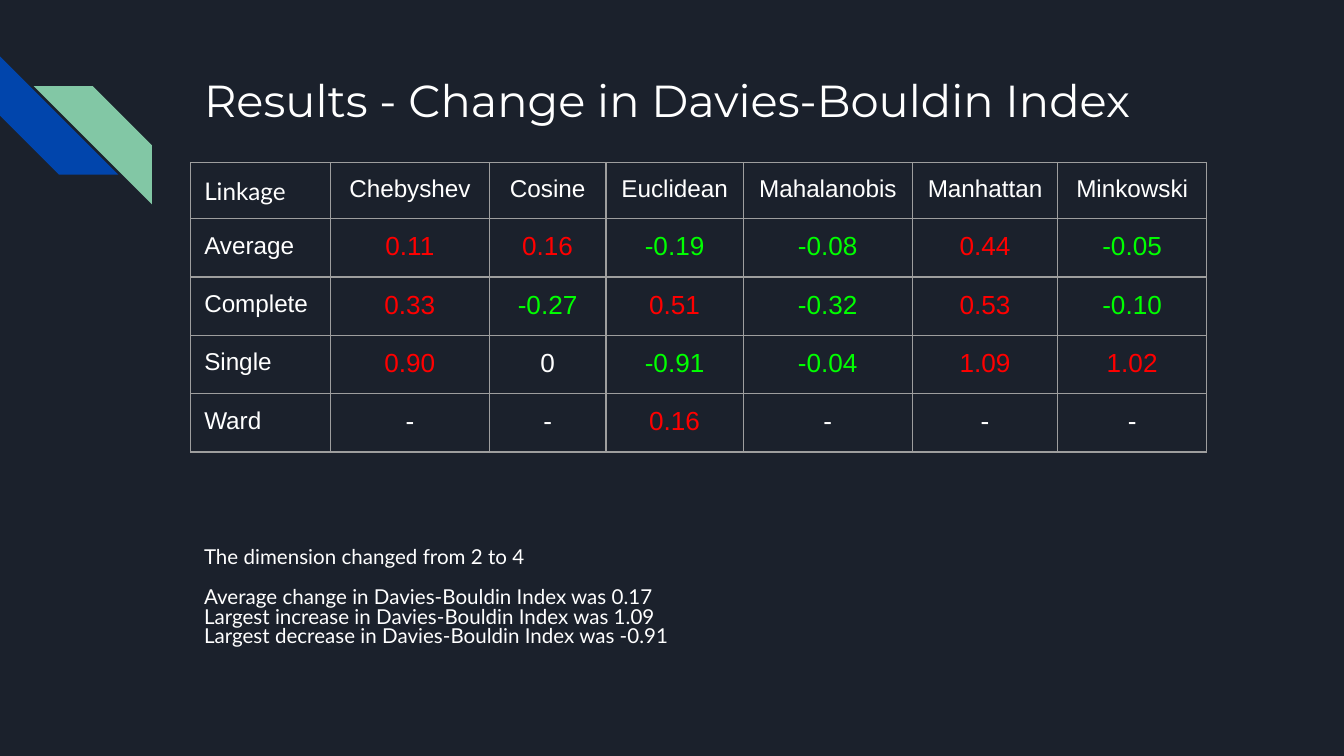
from dataclasses import dataclass

from pptx import Presentation
from pptx.dml.color import RGBColor
from pptx.enum.shapes import MSO_SHAPE as Preset
from pptx.enum.text import MSO_ANCHOR as Anchor, PP_ALIGN as Align
from pptx.oxml import parse_xml
from pptx.oxml.ns import nsdecls, qn
from pptx.util import Inches, Pt

NAVY = RGBColor(0x1B, 0x21, 0x2C)
BLUE = RGBColor(0x01, 0x45, 0xAC)
MINT = RGBColor(0x82, 0xC7, 0xA5)
WHITE = RGBColor(0xFF, 0xFF, 0xFF)
RED = RGBColor(0xFF, 0x00, 0x00)
GREEN = RGBColor(0x00, 0xFF, 0x00)
GREY = RGBColor(0x9E, 0x9E, 0x9E)

LEFT, WIDTH = 1.42, 7.7
STRIPE_SIZE = 0.88
ROW_HEIGHT = 0.34
COLUMN_WIDTHS = [1.04, 1.18, 0.87, 1.02, 1.26, 1.08, 1.11]
RESULTS = [
    ["Linkage", "Chebyshev", "Cosine", "Euclidean", "Mahalanobis", "Manhattan", "Minkowski"],
    ["Average", "0.11", "0.16", "-0.19", "-0.08", "0.44", "-0.05"],
    ["Complete", "0.33", "-0.27", "0.51", "-0.32", "0.53", "-0.10"],
    ["Single", "0.90", "0", "-0.91", "-0.04", "1.09", "1.02"],
    ["Ward", "-", "-", "0.16", "-", "-", "-"],
]


@dataclass
class Stripe:
    left: float
    top: float
    color: RGBColor
    rotation: int = 0
    mirrored: bool = False


@dataclass
class Note:
    text: str
    space_after: float = 0


STRIPES = [
    Stripe(0, 0.42, BLUE, rotation=270),
    Stripe(0.25, 0.64, MINT, mirrored=True),
]
NOTES = [
    Note("The dimension changed from 2 to 4", space_after=10.6),
    Note("Average change in Davies-Bouldin Index was 0.17"),
    Note("Largest increase in Davies-Bouldin Index was 1.09"),
    Note("Largest decrease in Davies-Bouldin Index was -0.91"),
]


def draw_stripe(page, stripe: Stripe) -> None:
    shape = page.shapes.add_shape(
        Preset.DIAGONAL_STRIPE, Inches(stripe.left), Inches(stripe.top),
        Inches(STRIPE_SIZE), Inches(STRIPE_SIZE))
    shape.adjustments[0] = 0.5
    shape.shadow.inherit = False
    shape.fill.solid()
    shape.fill.fore_color.rgb = stripe.color
    shape.line.fill.background()
    shape.rotation = stripe.rotation
    if stripe.mirrored:
        shape.element.spPr.find(qn("a:xfrm")).set("flipH", "1")


def add_span(para, text: str, size: float, font: str, color: RGBColor = WHITE) -> None:
    span = para.add_run()
    span.text = text
    span.font.size = Pt(size)
    span.font.name = font
    span.font.color.rgb = color


def set_margins(frame) -> None:
    frame.margin_left = frame.margin_right = Inches(0.1)
    frame.margin_top = frame.margin_bottom = Inches(0.1)


def add_box(page, top: float, height: float, anchor: Anchor):
    box = page.shapes.add_textbox(Inches(LEFT), Inches(top), Inches(WIDTH), Inches(height))
    box.text_frame.word_wrap = True
    box.text_frame.vertical_anchor = anchor
    set_margins(box.text_frame)
    return box.text_frame


def value_color(text: str) -> RGBColor:
    """Rising index is red, falling is green, unchanged or missing is white."""
    if text in ("-", "0"):
        return WHITE
    return GREEN if text.startswith("-") else RED


def add_borders(cell) -> None:
    properties = cell._tc.get_or_add_tcPr()
    for index, side in enumerate(("lnL", "lnR", "lnT", "lnB")):
        properties.insert(index, parse_xml(
            f'<a:{side} {nsdecls("a")} w="{Pt(0.75)}"><a:solidFill>'
            f'<a:srgbClr val="{GREY}"/></a:solidFill></a:{side}>'))


def fill_cell(cell, text: str, row: int, column: int) -> None:
    set_margins(cell)
    cell.fill.background()
    add_borders(cell)
    para = cell.text_frame.paragraphs[0]
    para.alignment = Align.CENTER if column else Align.LEFT
    if row and column:
        add_span(para, text, 14, "Arial", value_color(text))
    else:
        add_span(para, text, 13, "Arial" if row or column else "Lato")


def draw_results(page) -> None:
    frame = page.shapes.add_table(
        len(RESULTS), len(COLUMN_WIDTHS), Inches(LEFT), Inches(1.21),
        Inches(sum(COLUMN_WIDTHS)), Inches(ROW_HEIGHT * len(RESULTS)))
    table = frame.table
    table.first_row = table.horz_banding = False
    for column, width in zip(table.columns, COLUMN_WIDTHS):
        column.width = Inches(width)
    for row, texts in enumerate(RESULTS):
        table.rows[row].height = Inches(ROW_HEIGHT)
        for column, text in enumerate(texts):
            fill_cell(table.cell(row, column), text, row, column)


# Widescreen page, 16:9
deck = Presentation()
deck.slide_width = Inches(10)
deck.slide_height = Inches(10 * 9 / 16)
page = deck.slides.add_slide(deck.slide_layouts[6])
page.background.fill.solid()
page.background.fill.fore_color.rgb = NAVY

# Corner stripes
for stripe in STRIPES:
    draw_stripe(page, stripe)

# Title
title = add_box(page, 0.43, 0.62, Anchor.MIDDLE)
add_span(title.paragraphs[0], "Results - Change in Davies-Bouldin Index", 24, "Montserrat")

# Notes below the table
notes = add_box(page, 1.12, 3.8, Anchor.BOTTOM)
for index, note in enumerate(NOTES):
    para = notes.add_paragraph() if index else notes.paragraphs[0]
    para.line_spacing = 0.8
    para.space_after = Pt(note.space_after)
    add_span(para, note.text, 11, "Lato")

# Results table
draw_results(page)

deck.save("out.pptx")
